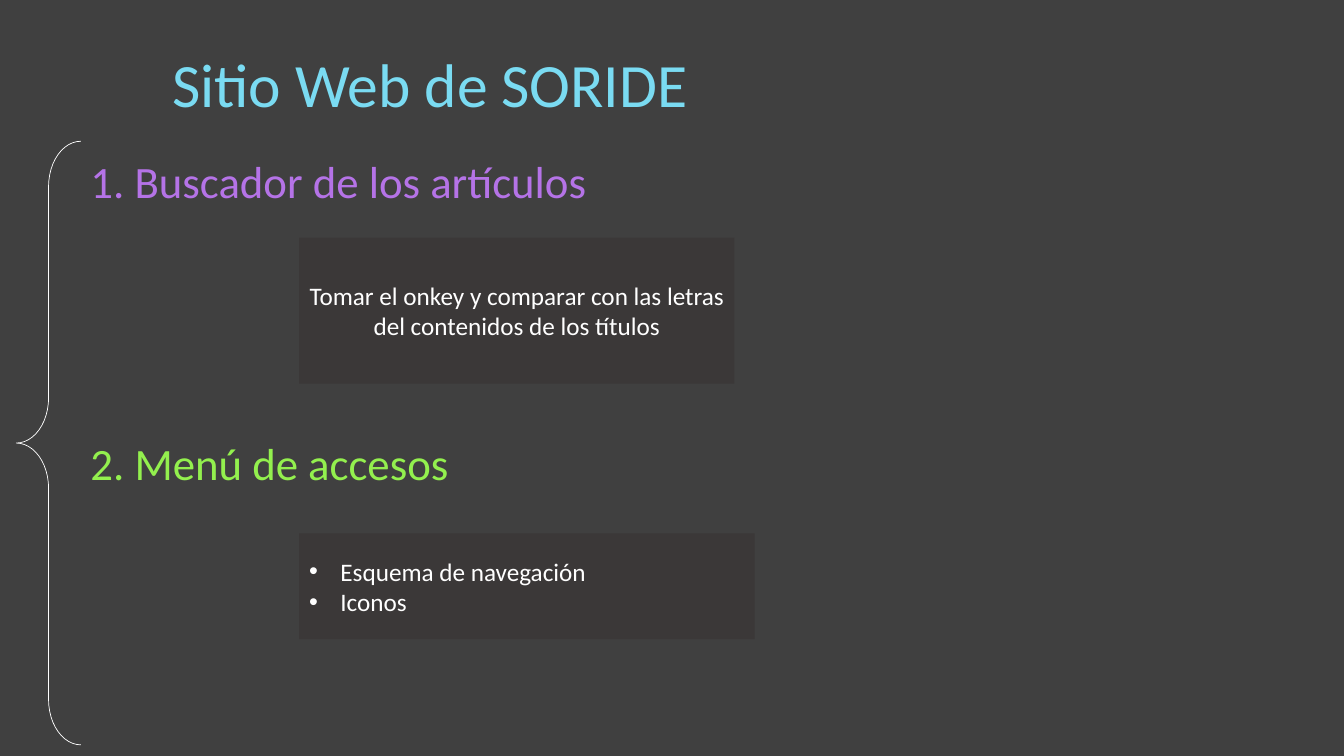
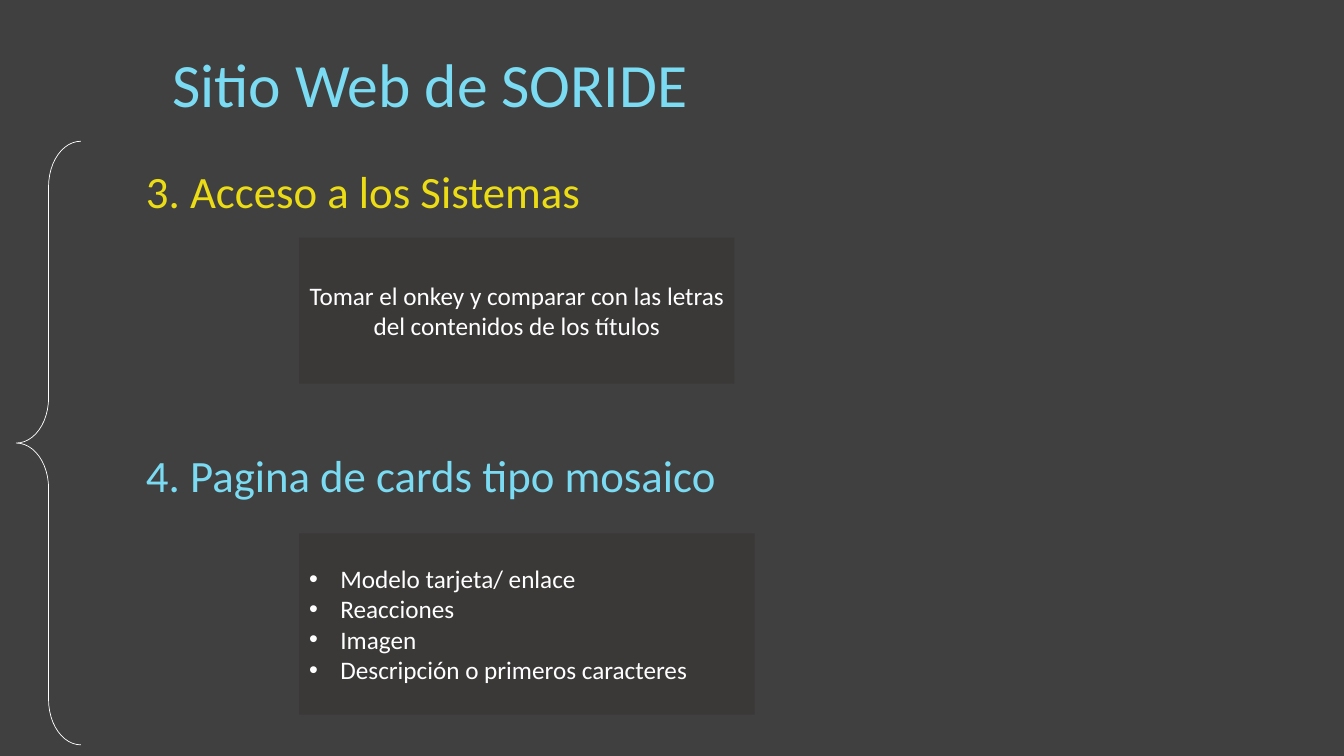
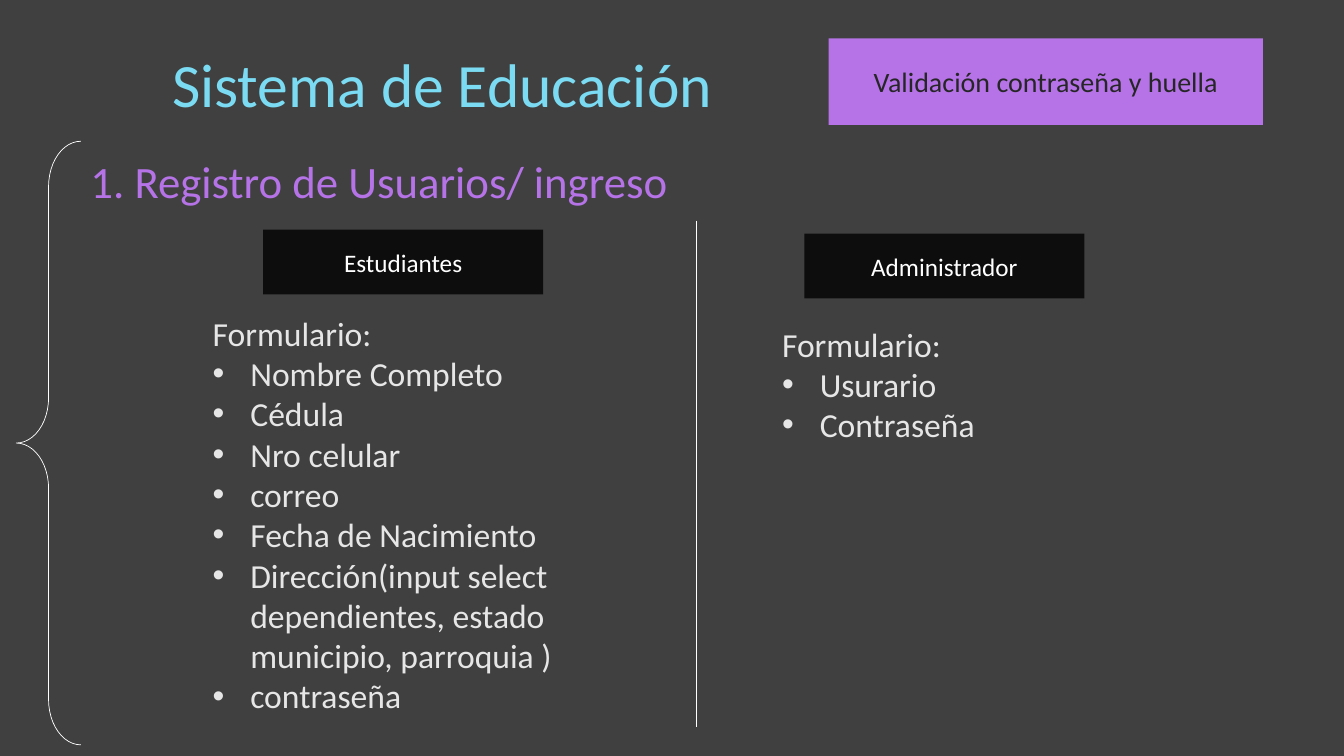
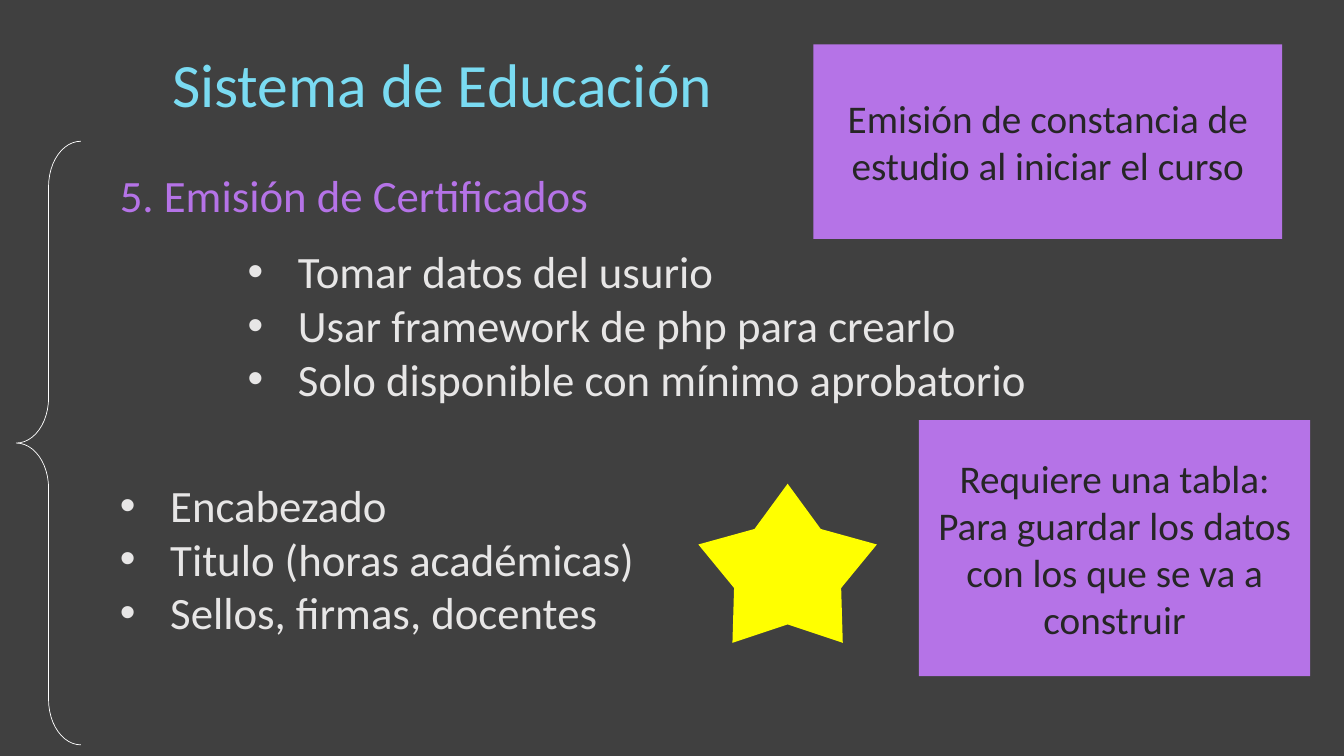
from dataclasses import dataclass

from pptx import Presentation
from pptx.dml.color import RGBColor
from pptx.enum.shapes import MSO_CONNECTOR as Link, MSO_SHAPE as Kind
from pptx.enum.text import MSO_ANCHOR as Anchor, MSO_AUTO_SIZE as Fit, PP_ALIGN as Align
from pptx.oxml.xmlchemy import OxmlElement as Node
from pptx.util import Cm, Pt

# Shared look
FONT = "Calibri"
BACK, PANEL, DARK, INK = "404040", "3B3838", "0D0D0D", "262626"
WHITE, PALE, YELLOW, GOLD = "FFFFFF", "E7E6E6", "FFFF00", "EBDC15"
CYAN, PURPLE, GREEN = "7ADBF2", "B573E7", "93F04E"
HANG = {18: 0.79, 24: 0.95, 32: 1.27}  # bullet indent by text size, cm
SITE, SCHOOL = "Sitio Web de SORIDE", "Sistema de Educación"


@dataclass
class Area:
    """A place on the slide, in centimetres."""
    left: float
    top: float
    width: float
    height: float

    def cm(self) -> list:
        return [Cm(v) for v in (self.left, self.top, self.width, self.height)]


@dataclass
class Head:
    text: str
    left: float
    top: float
    color: str


@dataclass
class Box:
    area: Area
    lines: list[str]
    fill: str = PANEL
    color: str = WHITE
    size: int = 18
    listed: bool = False


@dataclass
class Notes:
    area: Area
    lines: list[str]
    size: int
    lead: int = 0  # opening lines without a bullet


def rgb(code: str) -> RGBColor:
    return RGBColor.from_string(code)


# Drawing
def write(frame, lines: list[str], *, size: int, color: str, align=Align.LEFT,
          listed: bool = False, lead: int = 0) -> None:
    frame.word_wrap = True
    for i, line in enumerate(lines):
        para = frame.paragraphs[0] if i == 0 else frame.add_paragraph()
        para.alignment = align
        run = para.add_run()
        run.text = line
        run.font.name, run.font.size = FONT, Pt(size)
        run.font.color.rgb = rgb(color)
        if listed and i >= lead:
            props = para._p.get_or_add_pPr()
            indent = Cm(HANG[size])
            props.set("marL", str(indent))
            props.set("indent", str(-indent))
            face, mark = Node("a:buFont"), Node("a:buChar")
            face.set("typeface", "Arial")
            mark.set("char", "•")
            props.extend([face, mark])


def add_text(slide, area: Area, lines: list[str], **style) -> None:
    frame = slide.shapes.add_textbox(*area.cm()).text_frame
    frame.auto_size = Fit.SHAPE_TO_FIT_TEXT
    write(frame, lines, **style)


def add_form(slide, kind, area: Area, fill: str = "", line: str = ""):
    form = slide.shapes.add_shape(kind, *area.cm())
    form.shadow.inherit = False
    if fill:
        form.fill.solid()
        form.fill.fore_color.rgb = rgb(fill)
    else:
        form.fill.background()
    if line:
        form.line.color.rgb = rgb(line)
        form.line.width = Pt(0.5)
    else:
        form.line.fill.background()
    return form


def add_box(slide, box: Box) -> None:
    frame = add_form(slide, Kind.RECTANGLE, box.area, box.fill).text_frame
    frame.vertical_anchor = Anchor.MIDDLE
    write(frame, box.lines, size=box.size, color=box.color, listed=box.listed,
          align=Align.LEFT if box.listed else Align.CENTER)


def add_rule(slide, x: float, top: float, end: float) -> None:
    rule = slide.shapes.add_connector(Link.STRAIGHT, Cm(x), Cm(top), Cm(x), Cm(end))
    rule.line.color.rgb = rgb(WHITE)
    rule.line.width = Pt(0.5)
    rule._element.spPr.append(Node("a:effectLst"))


def add_page(deck, title: str, heads: list[Head], boxes: list[Box],
             notes: tuple[Notes, ...] = ()):
    slide = deck.slides.add_slide(deck.slide_layouts[6])
    brace = add_form(slide, Kind.LEFT_BRACE, Area(0.41, 3.56, 1.63, 15.21), line=WHITE)
    brace.adjustments[0] = 0.7
    add_text(slide, Area(4.09, 1.04, 14.43, 2.13), [title], size=44, color=CYAN)
    for head in heads:
        add_text(slide, Area(head.left, head.top, 15.75, 1.63), [head.text],
                 size=32, color=head.color)
    for note in notes:
        add_text(slide, note.area, note.lines, size=note.size, color=PALE,
                 listed=True, lead=note.lead)
    for box in boxes:
        add_box(slide, box)
    return slide


# Content
def main() -> None:
    deck = Presentation()
    deck.slide_width, deck.slide_height = Cm(33.87), Cm(19.05)
    back = deck.slide_master.background.fill
    back.solid()
    back.fore_color.rgb = rgb(BACK)

    # Website
    search = Box(Area(7.54, 5.99, 10.97, 3.68),
                 ["Tomar el onkey y comparar con las letras del contenidos de los títulos"])
    add_page(deck, SITE,
             [Head("1. Buscador de los artículos", 2.03, 3.76, PURPLE),
              Head("2. Menú de accesos", 2.03, 10.85, GREEN)],
             [search, Box(Area(7.54, 13.44, 11.48, 2.67),
                          ["Esquema de navegación", "Iconos"], listed=True)])
    add_page(deck, SITE,
             [Head("3. Acceso a los Sistemas", 3.43, 3.99, GOLD),
              Head("4. Pagina de cards tipo mosaico", 3.43, 11.15, CYAN)],
             [search, Box(Area(7.54, 13.44, 11.48, 4.57),
                          ["Modelo tarjeta/ enlace", "Reacciones", "Imagen",
                           "Descripción o primeros caracteres"], listed=True)])

    # Sign-up
    users = add_page(
        deck, SCHOOL,
        [Head("1. Registro de Usuarios/ ingreso", 2.03, 3.76, PURPLE)],
        [Box(Area(6.63, 5.79, 7.06, 1.63), ["Estudiantes"], DARK),
         Box(Area(20.27, 5.89, 7.06, 1.63), ["Administrador"], DARK),
         Box(Area(20.88, 0.97, 10.95, 2.18), ["Validación contraseña y huella"],
             PURPLE, INK, 20)],
        (Notes(Area(5.11, 7.75, 9.73, 10.52),
               ["Formulario:", "Nombre Completo", "Cédula", "Nro celular", "correo",
                "Fecha de Nacimiento",
                "Dirección(input select dependientes, estado municipio, parroquia )",
                "contraseña"], 24, lead=1),
         Notes(Area(19.46, 8.03, 9.73, 3.33),
               ["Formulario:", "Usurario", "Contraseña"], 24, lead=1)))
    add_rule(users, 17.55, 5.56, 18.31)

    # Certificates
    award = add_page(
        deck, SCHOOL,
        [Head("5. Emisión de Certificados", 2.77, 4.11, PURPLE)],
        [Box(Area(20.5, 1.12, 11.81, 4.9),
             ["Emisión de constancia de estudio al iniciar el curso"], PURPLE, INK, 28),
         Box(Area(23.16, 10.59, 9.86, 6.45),
             ["Requiere una tabla:", "Para guardar los datos con los que se va a construir"],
             PURPLE, INK, 28)],
        (Notes(Area(5.99, 6.02, 23.22, 4.37),
               ["Tomar datos del usurio", "Usar framework de php para crearlo",
                "Solo disponible con mínimo aprobatorio"], 32),
         Notes(Area(2.77, 11.91, 23.22, 4.37),
               ["Encabezado", "Titulo (horas académicas)",
                "Sellos, firmas, docentes"], 32)))
    star = add_form(award, Kind.STAR_5_POINT, Area(17.6, 12.19, 4.5, 4.01), YELLOW)
    star.adjustments[0] = 0.3

    deck.save("out.pptx")


if __name__ == "__main__":
    main()
